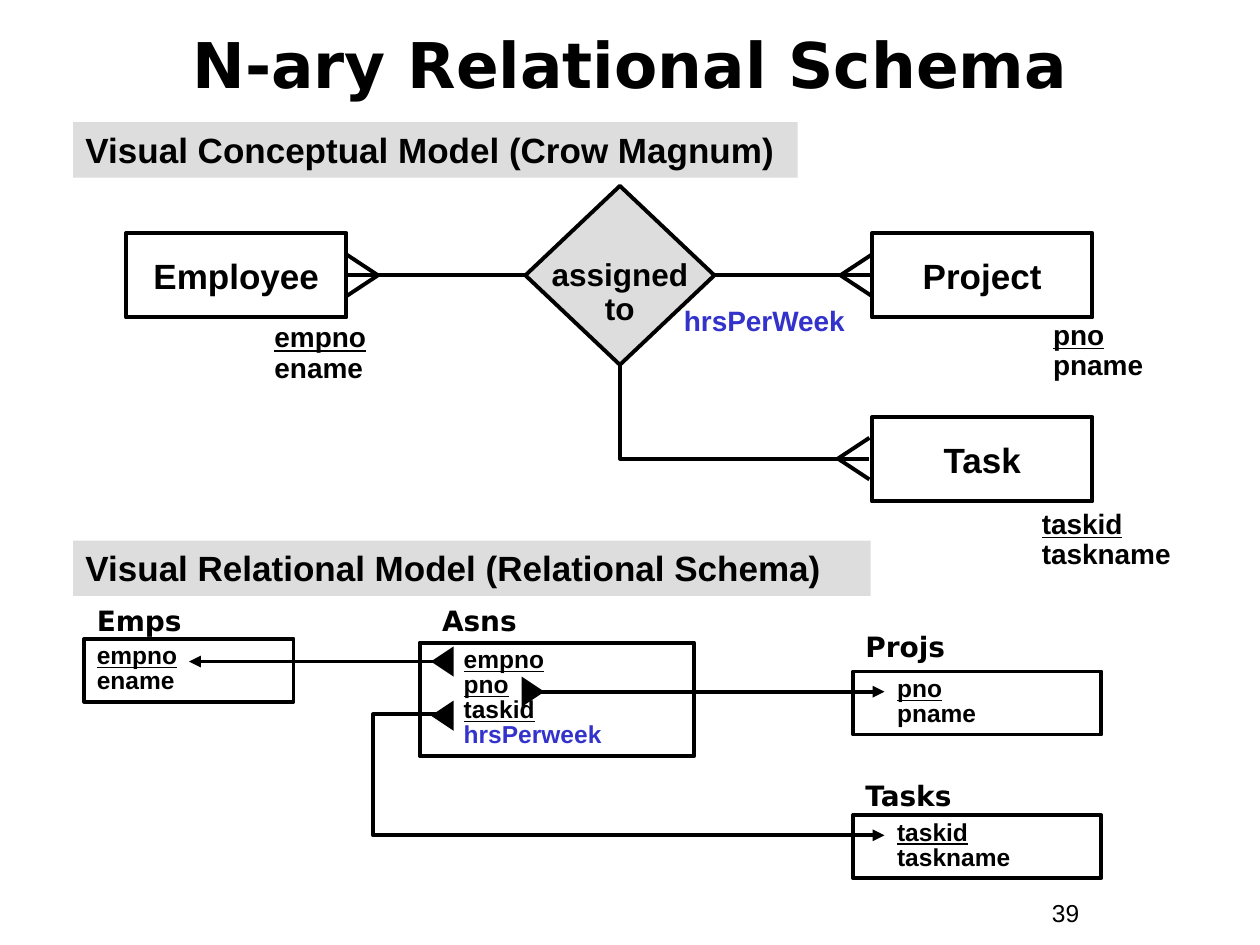
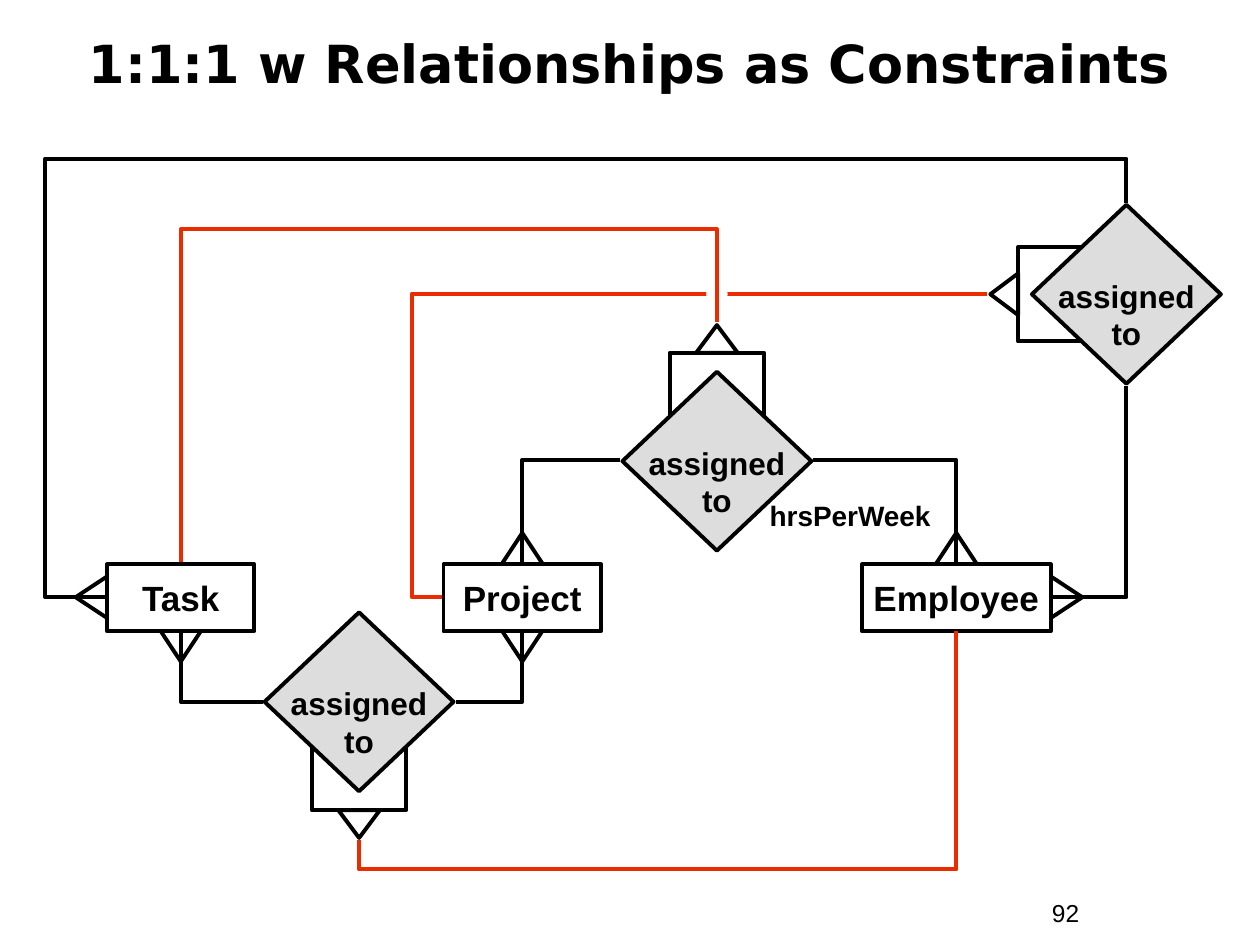
import lxml.etree
import pptx
import pptx.dml.color
import pptx.enum.shapes
import pptx.enum.text
import pptx.oxml.ns
import pptx.util

SHAPE = pptx.enum.shapes.MSO_SHAPE
ALIGN = pptx.enum.text.PP_ALIGN
ANCHOR = pptx.enum.text.MSO_ANCHOR
qn = pptx.oxml.ns.qn

COLORS = {"ink": "000000", "grey": "DDDDDD", "blue": "3333CC",
          "red": "EA2D00", "paper": "FFFFFF"}
FORMATS = {
    "title": {"name": "DejaVu Sans", "size": 36, "bold": True},
    "caption": {"name": "DejaVu Sans", "size": 16, "bold": True},
    "entity": {"name": "Arial", "size": 20, "bold": True},
    "relationship": {"name": "Arial", "size": 18, "bold": True},
    "attribute": {"name": "Arial", "size": 16, "bold": True},
    "field": {"name": "Arial", "size": 14, "bold": True},
    "number": {"name": "Arial", "size": 14, "bold": False},
}
INSETS = {"margin_left": 1, "margin_top": 0.5, "margin_right": 1, "margin_bottom": 0.5}
TOP, LEFT, BOTTOM, RIGHT = range(4)  # connection sites
COLUMNS, ROWS = 100, 75
DIAMOND = (15, 14.2)


def color(name):
    return pptx.dml.color.RGBColor.from_string(COLORS[name])


def key(text):
    return text, {"underline": True}


class Deck:
    """Holds the style and the current slide; lengths are grid columns and rows."""

    def __init__(self):
        self.presentation = pptx.Presentation()
        self.presentation.slide_width = pptx.util.Inches(10)
        self.presentation.slide_height = pptx.util.Inches(7.5)
        self.column = self.presentation.slide_width / COLUMNS
        self.row = self.presentation.slide_height / ROWS

    def grid(self, *lengths):
        return [round(length * (self.row if index % 2 else self.column))
                for index, length in enumerate(lengths)]

    def new_slide(self, title, size, number):
        self.slide = self.presentation.slides.add_slide(self.presentation.slide_layouts[6])
        self.text((3.3, 0.8, 93.4, 8.4), [[(title, {"size": size})]], "title",
                  align=ALIGN.CENTER, anchor=ANCHOR.MIDDLE)
        self.text((82.5, 70.8, 9.2, 3.4), [[number]], "number")

    def fill_text(self, shape, paragraphs, style, align=ALIGN.LEFT, anchor=ANCHOR.TOP,
                  spacing=1.0, wrap=True, **insets):
        """Each paragraph is a list of lines; a line is a string or (string, changes)."""
        frame = shape.text_frame
        frame.word_wrap = wrap
        frame.vertical_anchor = anchor
        for name, length in {**INSETS, **insets}.items():
            setattr(frame, name, self.grid(length)[0])
        for index, lines in enumerate(paragraphs):
            paragraph = frame.add_paragraph() if index else frame.paragraphs[0]
            paragraph.alignment = align
            paragraph.line_spacing = spacing
            for position, line in enumerate(lines):
                text, changes = (line, {}) if isinstance(line, str) else line
                values = {**FORMATS[style], "color": "ink", **changes}
                if position:
                    paragraph.add_line_break()
                    line_break = paragraph._p.findall(qn("a:br"))[-1]
                    lxml.etree.SubElement(line_break, qn("a:rPr"),
                                          sz=str(values["size"] * 100))
                run = paragraph.add_run()
                run.text = text
                run.font.color.rgb = color(values.pop("color"))
                values["size"] = pptx.util.Pt(values["size"])
                for name, value in values.items():
                    setattr(run.font, name, value)

    def text(self, box, paragraphs, style, **options):
        shape = self.slide.shapes.add_textbox(*self.grid(*box))
        self.fill_text(shape, paragraphs, style, **options)

    def stroke(self, shape, line):
        shape.line.color.rgb = color(line)
        shape.line.width = pptx.util.Pt(2.25)

    def shape(self, kind, box, fill=None, line="ink", rotation=0):
        shape = self.slide.shapes.add_shape(kind, *self.grid(*box))
        shape.shadow.inherit = False
        shape.rotation = rotation
        if fill:
            shape.fill.solid()
            shape.fill.fore_color.rgb = color(fill)
        else:
            shape.fill.background()
        if line:
            self.stroke(shape, line)
        else:
            shape.line.fill.background()
        return shape

    def centred(self, kind, center, size, **options):
        (x, y), (width, height) = center, size
        return self.shape(kind, (x - width / 2, y - height / 2, width, height), **options)

    def band(self, top, width, text):
        shape = self.shape(SHAPE.RECTANGLE, (5.8, top, width, 4.4), "grey", None)
        self.fill_text(shape, [[text]], "entity")

    def entity(self, box, name):
        shape = self.shape(SHAPE.RECTANGLE, box)
        self.fill_text(shape, [[name]], "entity", align=ALIGN.CENTER,
                       anchor=ANCHOR.MIDDLE, wrap=False)
        return shape

    def relationship(self, center, spacing=1.0, drop=3.7):
        shape = self.centred(SHAPE.FLOWCHART_DECISION, center, DIAMOND, fill="grey")
        self.fill_text(shape, [["assigned", "to"]], "relationship", align=ALIGN.CENTER,
                       anchor=ANCHOR.MIDDLE, spacing=spacing, wrap=False, margin_top=drop)
        return shape

    def constrained_relationship(self, center, side):
        """A diamond over a square, with a triangle pointing out on the given side."""
        dx, dy = {TOP: (0, -1), LEFT: (-1, 0), BOTTOM: (0, 1)}[side]
        rotation = -90 * side % 360
        x, y = center
        for kind, offset, size in ((SHAPE.RECTANGLE, 6.1, (7.5, 5)),
                                   (SHAPE.FLOWCHART_EXTRACT, 9.7, (3.3, 2.2))):
            self.centred(kind, (x + dx * offset, y + dy * offset), size, rotation=rotation)
        self.relationship(center)

    def table(self, caption_top, box, caption, fields, caption_shift=0, indent=2.5):
        left, _, width, _ = box
        self.text((left + caption_shift, caption_top, width, 3.7), [[caption]], "caption")
        shape = self.shape(SHAPE.RECTANGLE, box)
        self.fill_text(shape, [fields], "field", spacing=0.85, margin_left=1 + indent)

    def attributes(self, box, names, ink="ink"):
        changes = {"color": ink}
        lines = [[(names[0], changes)]] if len(names) == 1 else [[key(names[0])], [names[1]]]
        self.text(box, lines, "attribute", spacing=0.9)

    def arrowhead(self, shape):
        line = shape.element.spPr.find(qn("a:ln"))
        lxml.etree.SubElement(line, qn("a:tailEnd"), type="triangle")

    def line(self, start, end, arrow=False, joins=None):
        connector = self.slide.shapes.add_connector(
            pptx.enum.shapes.MSO_CONNECTOR.STRAIGHT, *self.grid(*start, *end))
        if joins:
            first, first_site, last, last_site = joins
            connector.begin_connect(first, first_site)
            connector.end_connect(last, last_site)
        self.stroke(connector, "ink")
        if arrow:
            self.arrowhead(connector)
        lxml.etree.SubElement(connector.element.spPr, qn("a:effectLst"))

    def route(self, *points, line="ink", arrow=False):
        """A line with square corners."""
        start, *others = [self.grid(*point) for point in points]
        builder = self.slide.shapes.build_freeform(*start)
        builder.add_line_segments(others, close=False)
        shape = builder.convert_to_shape()
        shape.shadow.inherit = False
        shape.fill.background()
        self.stroke(shape, line)
        if arrow:
            self.arrowhead(shape)

    def crow_foot(self, tip, dx, dy):
        """Two toes spreading from the tip in the direction (dx, dy)."""
        x, y = tip
        for spread in (-1.65, 1.65):
            self.line(tip, (x + 2.5 * dx + spread * dy, y + 2.5 * dy + spread * dx))


def schema_slide(deck):
    deck.new_slide("N-ary Relational Schema", 36, "39")

    # Conceptual model
    axis = 21.85
    assigned = deck.relationship((49.2, axis), spacing=0.9, drop=3.3)
    employee, project, task = [
        deck.entity((left, top, 17.5, 6.7), name) for left, top, name in
        ((10, 18.5, "Employee"), (69.2, 18.5, "Project"), (69.2, 33.1, "Task"))]
    deck.line((27.5, axis), (41.7, axis), joins=(employee, RIGHT, assigned, LEFT))
    deck.line((56.7, axis), (69.2, axis), joins=(assigned, RIGHT, project, LEFT))
    deck.route((49.2, 29), (49.2, 36.4), (69, 36.4))
    deck.crow_foot((30, axis), -1, 0)
    deck.crow_foot((66.7, axis), 1, 0)
    deck.crow_foot((66.5, 36.4), 1, 0)
    deck.attributes((20.8, 25.2, 12.5, 5.8), ["empno", "ename"])
    deck.attributes((82.6, 25, 10, 5.8), ["pno", "pname"])
    deck.attributes((81.7, 40, 12.5, 5.8), ["taskid", "taskname"])
    deck.attributes((53.3, 23.9, 15, 3.4), ["hrsPerWeek"], "blue")

    # Relational model
    deck.table(47.4, (6.7, 50.7, 16.6, 5), "Emps", [key("empno"), "ename"], indent=0)
    deck.table(47.4, (33.3, 51, 21.8, 9), "Asns",
               [key("empno"), key("pno"), key("taskid"), ("hrsPerweek", {"color": "blue"})],
               caption_shift=0.8)
    deck.table(49.5, (67.7, 53.3, 19.7, 5), "Projs", [key("pno"), "pname"])
    deck.table(61.3, (67.7, 64.7, 19.7, 5), "Tasks", [key("taskid"), "taskname"])
    deck.line((35.7, 52.5), (15, 52.5), arrow=True)
    deck.line((41.7, 54.9), (70.2, 54.9), arrow=True)
    deck.route((35.6, 56.7), (29.6, 56.7), (29.6, 66.3), (70.2, 66.3), arrow=True)
    for center, rotation in (((35.1, 56.8), 270), ((35.1, 52.5), 270), ((42.3, 54.9), 90)):
        deck.centred(SHAPE.ISOSCELES_TRIANGLE, center, (2.4, 1.8), fill="ink",
                     line=None, rotation=rotation)

    # Section bands
    deck.band(9.7, 57.5, "Visual Conceptual Model (Crow Magnum)")
    deck.band(42.9, 63.3, "Visual Relational Model (Relational Schema)")


def constraints_slide(deck):
    deck.new_slide("1:1:1 w Relationships as Constraints", 30, "92")
    task_x, project_x, employee_x = 14.35, 41.45, 75.9
    top, middle, bottom = 44.8, 47.4, 50.1

    # Entities and relationships
    for center, width, name in ((task_x, 11.7, "Task"), (project_x, 12.5, "Project"),
                                (employee_x, 15, "Employee")):
        deck.entity((center - width / 2, top, width, bottom - top), name)
    for center, side in (((28.5, 55.7), BOTTOM), ((56.9, 36.6), TOP), ((89.4, 23.35), LEFT)):
        deck.constrained_relationship(center, side)
    deck.attributes((60.1, 39.4, 17.5, 3.4), ["hrsPerWeek"])

    # Many sides
    deck.route((36.2, 55.7), (project_x, 55.7), (project_x, bottom))
    deck.route((task_x, bottom), (task_x, 55.7), (20.9, 55.7))
    deck.route((64.5, 36.5), (employee_x, 36.5), (employee_x, top))
    deck.route((49.2, 36.5), (project_x, 36.5), (project_x, top))
    deck.route((8.5, middle), (3.6, middle), (3.6, 12.6), (89.4, 12.6), (89.4, 16.1))
    deck.route((83.5, middle), (89.4, middle), (89.4, 30.6))
    for tip, dx, dy in (((task_x, 52.5), 0, -1), ((project_x, 52.5), 0, -1),
                        ((project_x, 42.3), 0, 1), ((employee_x, 42.3), 0, 1),
                        ((6, middle), 1, 0), ((85.9, middle), -1, 0)):
        deck.crow_foot(tip, dx, dy)

    # Constraints, with a gap where two of them cross
    deck.route((28.5, 66.7), (28.5, 69), (employee_x, 69), (employee_x, bottom), line="red")
    deck.route((78.3, 23.3), (32.7, 23.3), (32.7, middle), (35.1, middle), line="red")
    deck.centred(SHAPE.OVAL, (56.9, 23.35), (1.7, 1.7), fill="paper", line=None)
    deck.route((56.9, 25.6), (56.9, 18.2), (task_x, 18.2), (task_x, 44.6), line="red")


def main():
    deck = Deck()
    schema_slide(deck)
    constraints_slide(deck)
    deck.presentation.save("out.pptx")


if __name__ == "__main__":
    main()
